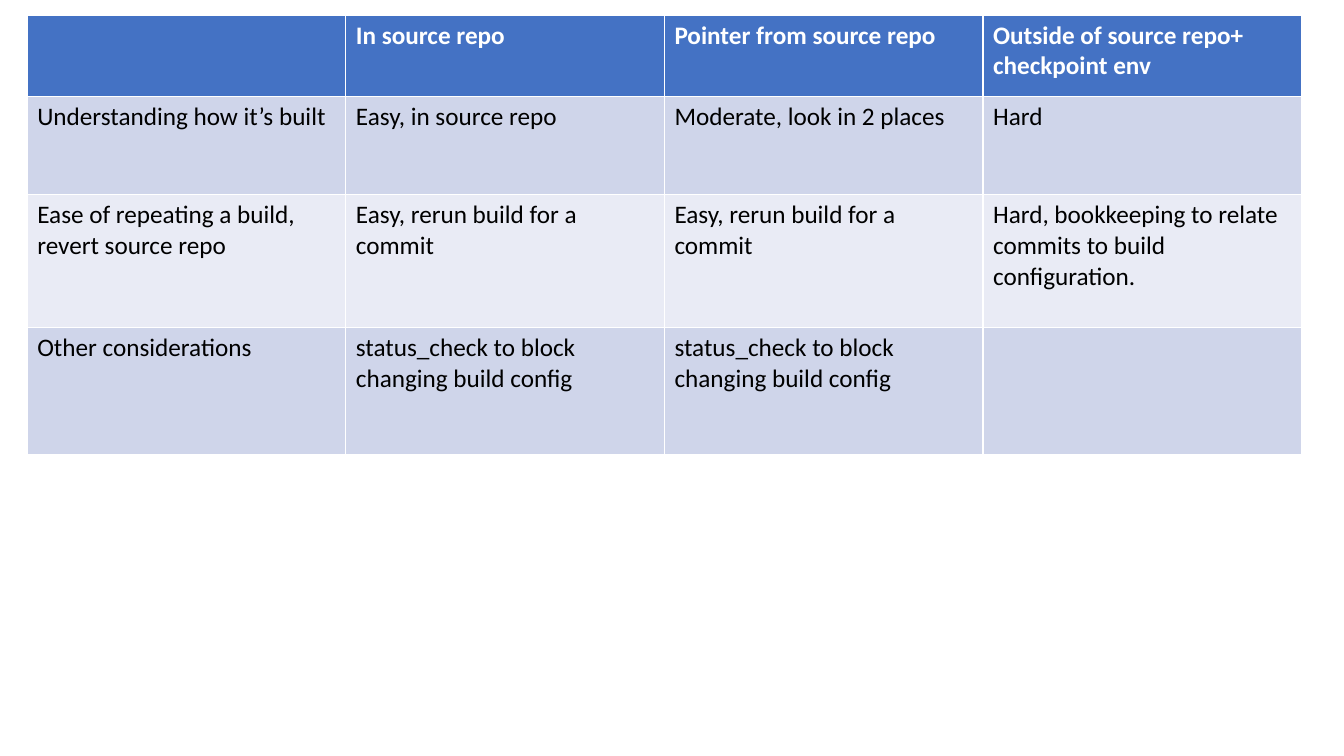
from pptx import Presentation
from pptx.dml.color import RGBColor
from pptx.util import Inches, Pt

COLORS = {"header": "4472C4", "odd": "CFD5EA", "even": "E9EBF5",
          "light": "FFFFFF", "dark": "000000"}
HEADER_FONT = {"name": "Calibri", "size": Pt(18), "bold": True}
BODY_FONT = {**HEADER_FONT, "bold": False}

RERUN = "Easy, rerun build for a commit"
STATUS = "status_check to block changing build config"
ROWS = [
    ["", "In source repo", "Pointer from source repo",
     "Outside of source repo+ checkpoint env"],
    ["Understanding how it’s built", "Easy, in source repo",
     "Moderate, look in 2 places", "Hard"],
    ["Ease of repeating a build, revert source repo", RERUN, RERUN,
     "Hard, bookkeeping to relate commits to build configuration."],
    ["Other considerations", STATUS, STATUS, ""],
]
ROW_SHARES = [0.81, 0.97, 1.32, 1.26]


def fill_cell(cell, text, fill, color, font):
    """Write one cell's text and set its fill and font."""
    cell.fill.solid()
    cell.fill.fore_color.rgb = RGBColor.from_string(COLORS[fill])
    p = cell.text_frame.paragraphs[0]
    p.text = text
    for target in [p.font] + [r.font for r in p.runs]:
        for name, value in font.items():
            setattr(target, name, value)
        target.color.rgb = RGBColor.from_string(COLORS[color])


def add_comparison(s, left, top, width, height):
    """Place the build configuration comparison table in the given box."""
    # The default table style draws the white rules and heavier header rule.
    table = s.shapes.add_table(len(ROWS), len(ROWS[0]),
                               left, top, width, height).table
    for column in table.columns:
        column.width = int(width / len(ROWS[0]))
    for i, (texts, share) in enumerate(zip(ROWS, ROW_SHARES)):
        table.rows[i].height = int(height * share / sum(ROW_SHARES))
        if i == 0:
            look = ("header", "light", HEADER_FONT)
        else:
            look = ("odd" if i % 2 else "even", "dark", BODY_FONT)
        for j, text in enumerate(texts):
            fill_cell(table.cell(i, j), text, *look)


def main():
    """Build the slide and save it."""
    prs = Presentation()
    prs.slide_width, prs.slide_height = Inches(13.33), Inches(7.5)
    s = prs.slides.add_slide(prs.slide_layouts[6])
    add_comparison(s, Inches(0.27), Inches(0.15), Inches(12.64),
                   Inches(sum(ROW_SHARES)))
    prs.save("out.pptx")


main()
